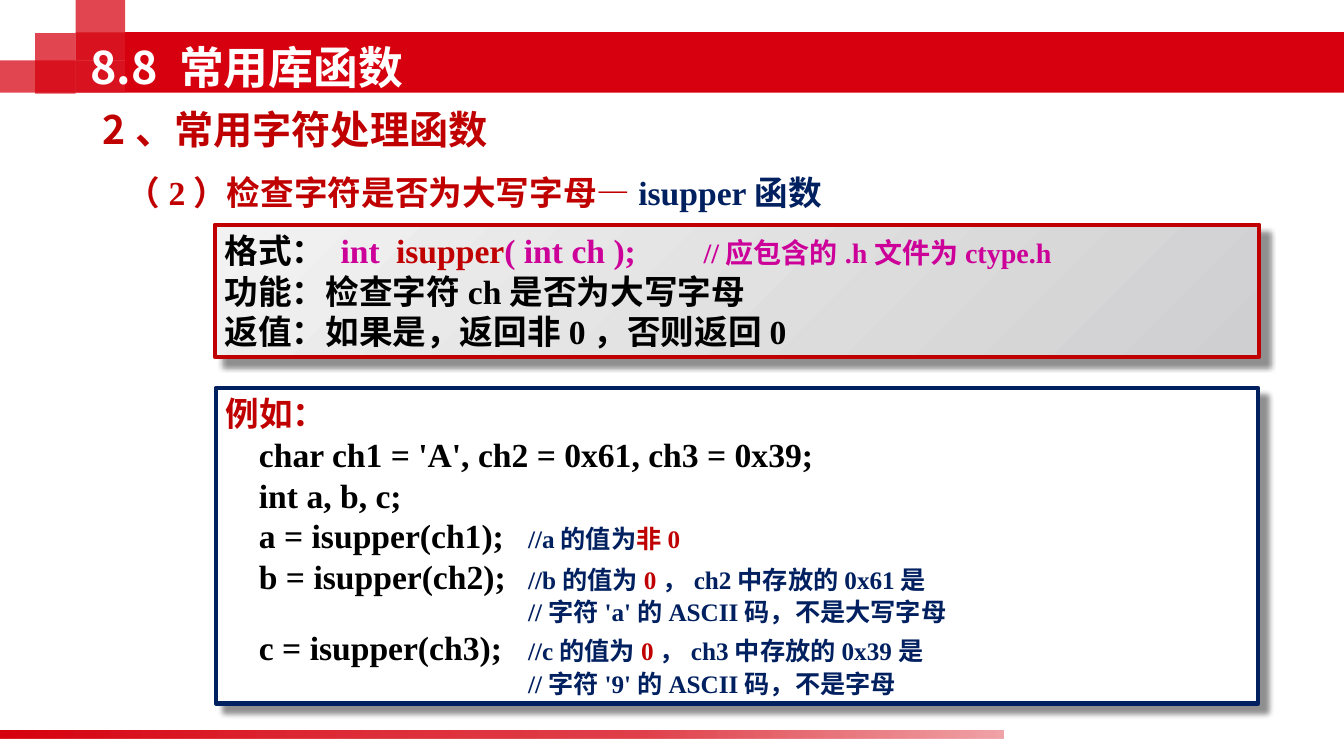
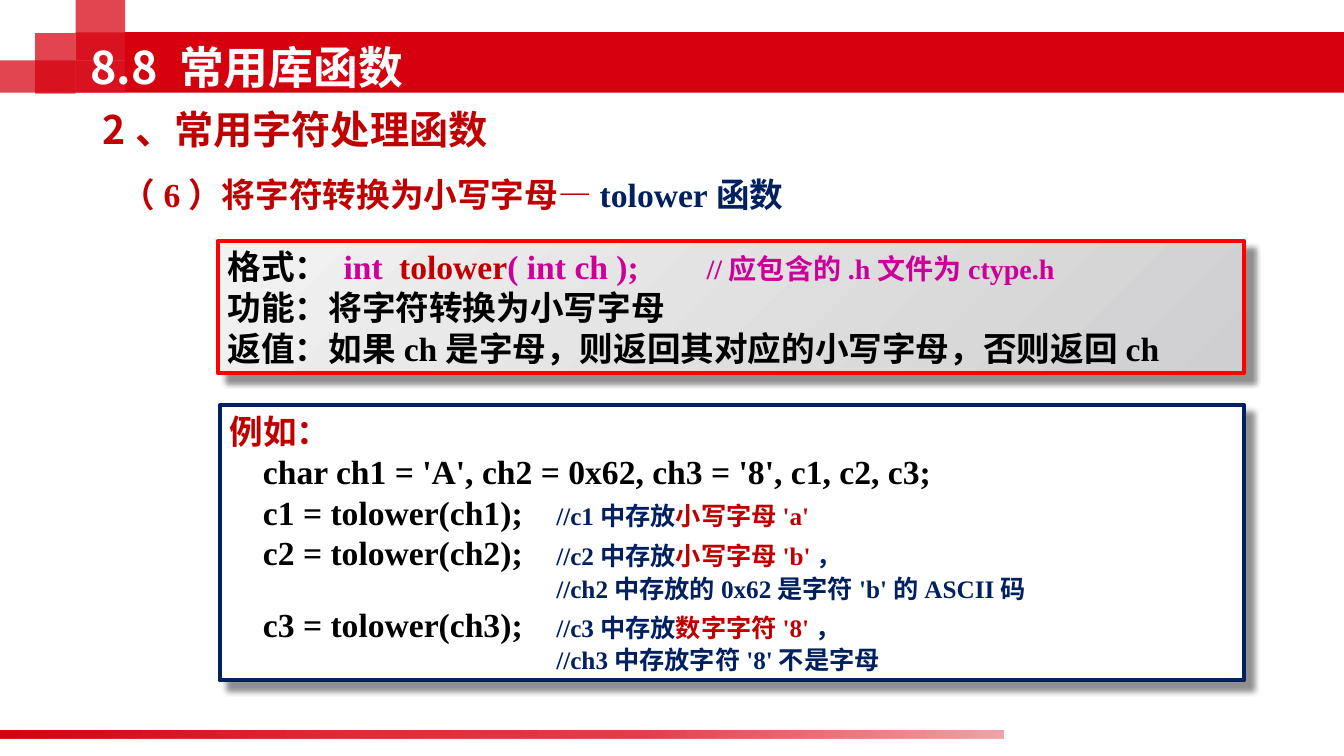
from dataclasses import dataclass

from lxml import etree
from pptx import Presentation
from pptx.dml.color import RGBColor
from pptx.enum.shapes import MSO_SHAPE
from pptx.enum.text import MSO_ANCHOR, PP_ALIGN
from pptx.oxml.ns import qn
from pptx.util import Inches, Pt

RECTANGLE = MSO_SHAPE.RECTANGLE
TOP, MIDDLE = MSO_ANCHOR.TOP, MSO_ANCHOR.MIDDLE
LEFT = PP_ALIGN.LEFT


@dataclass(frozen=True)
class Theme:
    band: str = "D7000F"
    red: str = "C00000"
    bright_red: str = "FF0000"
    navy: str = "002060"
    magenta: str = "CC0099"
    black: str = "000000"
    white: str = "FFFFFF"
    panel_dark: str = "CFCFD1"
    panel_light: str = "F2F2F2"
    sans: str = "Noto Sans CJK SC"
    serif: str = "Times New Roman"
    title: int = 32
    subtitle: int = 28
    body: int = 24
    include: int = 20
    comment: int = 18
    body_line: int = 29
    comment_line: int = 22
    border: int = 3


THEME = Theme()

# Each run of text names one of these styles: size and colour.
STYLES = {
    "title": (THEME.title, THEME.white),
    "subtitle": (THEME.subtitle, THEME.red),
    "code": (THEME.body, THEME.black),
    "key": (THEME.body, THEME.red),
    "function": (THEME.body, THEME.navy),
    "syntax": (THEME.body, THEME.magenta),
    "include": (THEME.include, THEME.magenta),
    "comment": (THEME.comment, THEME.navy),
    "result": (THEME.comment, THEME.red),
}


def add_child(parent, tag, **attributes):
    child = etree.SubElement(parent, qn(tag))
    for name, value in attributes.items():
        child.set(name, str(value))
    return child


def add_box(slide, box, color, opacity=100):
    shape = slide.shapes.add_shape(RECTANGLE, *map(Inches, box))
    shape.shadow.inherit = False
    shape.line.fill.background()
    shape.fill.solid()
    shape.fill.fore_color.rgb = RGBColor.from_string(color)
    if opacity < 100:
        color_element = shape.fill._xPr.find(".//" + qn("a:srgbClr"))
        add_child(color_element, "a:alpha", val=opacity * 1000)
    return shape


def set_gradient(shape, stops, angle):
    """Replace the solid fill by stops of (position, colour, opacity), in percent."""
    properties = shape._element.spPr
    solid = properties.find(qn("a:solidFill"))
    gradient = etree.Element(qn("a:gradFill"), rotWithShape="1")
    stop_list = add_child(gradient, "a:gsLst")
    for position, color, opacity in stops:
        stop = add_child(stop_list, "a:gs", pos=position * 1000)
        color_element = add_child(stop, "a:srgbClr", val=color)
        if opacity < 100:
            add_child(color_element, "a:alpha", val=opacity * 1000)
    add_child(gradient, "a:lin", ang=angle * 60000, scaled=0)
    properties.replace(solid, gradient)


def add_shadow(shape):
    effects = shape._element.spPr.find(qn("a:effectLst"))
    shadow = add_child(effects, "a:outerShdw", blurRad=Pt(4), dist=Pt(8.4),
                       dir=45 * 60000, algn="tl", rotWithShape=0)
    color_element = add_child(shadow, "a:srgbClr", val=THEME.black)
    add_child(color_element, "a:alpha", val=43000)


def write_text(shape, lines, font=THEME.serif, anchor=TOP, tabs=(), fixed=True):
    """Write lines, each a list of (text, style) runs."""
    frame = shape.text_frame
    frame.word_wrap = True
    frame.vertical_anchor = anchor
    for index, runs in enumerate(lines):
        paragraph = frame.paragraphs[0] if index == 0 else frame.add_paragraph()
        paragraph.alignment = LEFT
        if tabs:
            tab_list = add_child(paragraph._p.get_or_add_pPr(), "a:tabLst")
            for position in tabs:
                add_child(tab_list, "a:tab", pos=Inches(position), algn="l")
        if fixed:
            small = all(style in ("comment", "result") for _, style in runs)
            height = THEME.comment_line if small else THEME.body_line
            paragraph.line_spacing = Pt(height)
        for text, style in runs:
            size, color = STYLES[style]
            run = paragraph.add_run()
            run.text = text
            run.font.size = Pt(size)
            run.font.bold = True
            run.font.name = font
            run.font.color.rgb = RGBColor.from_string(color)
            add_child(run._r.get_or_add_rPr(), "a:ea", typeface=THEME.sans)


def add_label(slide, box, runs, **text_format):
    label = slide.shapes.add_textbox(*map(Inches, box))
    write_text(label, [runs], **text_format)


def add_panel(slide, box, border):
    panel = add_box(slide, box, THEME.white)
    panel.line.color.rgb = RGBColor.from_string(border)
    panel.line.width = Pt(THEME.border)
    add_shadow(panel)
    return panel


def add_frame(slide):
    """Title band with its corner squares, and the fading line at the foot."""
    add_box(slide, (1.24, 0.32, 12.09, 0.6), THEME.band)
    for box in ((0, 0.6, 1.24, 0.32), (0.35, 0.33, 0.4, 0.6),
                (0.75, 0, 0.49, 0.6), (0.75, 0.32, 0.49, 0.28)):
        add_box(slide, box, THEME.band, opacity=73)
    add_box(slide, (0.75, 0.6, 0.49, 0.32), THEME.band, opacity=73)
    foot = add_box(slide, (0, 7.25, 9.95, 0.08), THEME.band)
    opacities = ((0, 100), (31, 84), (64, 75), (100, 36))
    set_gradient(foot, [(position, THEME.band, opacity)
                        for position, opacity in opacities], 0)


def add_titles(slide):
    add_label(slide, (0.8, 0.33, 8.9, 0.67), [("8.8 常用库函数", "title")],
              font=THEME.sans, anchor=MIDDLE, fixed=False)
    add_label(slide, (0.92, 0.99, 4.41, 0.57), [("2、常用字符处理函数", "subtitle")],
              font=THEME.sans, anchor=MIDDLE, fixed=False)


def add_definition(slide, box, name, purpose, result, border):
    panel = add_panel(slide, box, border)
    set_gradient(panel, [(0, THEME.panel_dark, 100),
                         (100, THEME.panel_light, 100)], 225)
    lines = [
        [("格式：", "code"), ("\tint\t", "syntax"), (name, "key"),
         ("( int ch );\t", "syntax"), ("//应包含的.h文件为ctype.h", "include")],
        [("功能：" + purpose, "code")],
        [("返值：" + result, "code")],
    ]
    write_text(panel, lines, anchor=MIDDLE, tabs=(1.15, 1.7, 4.75))


def add_example(slide, box, code_lines, comment_tab):
    """Each code line is (code, comment runs); no code continues a comment."""
    panel = add_panel(slide, box, THEME.navy)
    lines = [[("例如：", "key")]]
    for code, *comment in code_lines:
        if not code:
            lines.append([("\t\t", "comment"), *comment])
        elif comment:
            lines.append([(f"\t{code}\t", "code"), *comment])
        else:
            lines.append([(f"\t{code}", "code")])
    write_text(panel, lines, tabs=(0.33, comment_tab))


def add_function_slide(presentation, heading, heading_box, name, definition,
                       example):
    slide = presentation.slides.add_slide(presentation.slide_layouts[6])
    add_frame(slide)
    add_label(slide, heading_box, [(heading + "—", "key"), (name + "函数", "function")])
    add_definition(slide, name=name, **definition)
    add_example(slide, **example)
    add_titles(slide)


def main():
    presentation = Presentation()
    presentation.slide_width = Inches(13.33)
    presentation.slide_height = Inches(7.5)

    add_function_slide(
        presentation, "（2）检查字符是否为大写字母", (1.16, 1.65, 7.64, 0.5), "isupper",
        definition=dict(
            box=(2.13, 2.23, 10.36, 1.31), border=THEME.red,
            purpose="检查字符ch是否为大写字母",
            result="如果是，返回非0，否则返回0"),
        example=dict(
            box=(2.14, 3.85, 10.34, 3.13), comment_tab=3.0,
            code_lines=[
                ("char ch1 = 'A', ch2 = 0x61, ch3 = 0x39;",),
                ("int a, b, c;",),
                ("a = isupper(ch1);", ("//a的值为", "comment"), ("非0", "result")),
                ("b = isupper(ch2);", ("//b的值为", "comment"), ("0", "result"),
                 ("，ch2中存放的0x61是", "comment")),
                ("", ("//字符'a'的ASCII码，不是大写字母", "comment")),
                ("c = isupper(ch3);", ("//c的值为", "comment"), ("0", "result"),
                 ("，ch3中存放的0x39是", "comment")),
                ("", ("//字符'9'的ASCII码，不是字母", "comment")),
            ]))

    add_function_slide(
        presentation, "（6）将字符转换为小写字母", (1.11, 1.67, 8.65, 0.5), "tolower",
        definition=dict(
            box=(2.16, 2.39, 10.18, 1.31), border=THEME.bright_red,
            purpose="将字符转换为小写字母",
            result="如果ch是字母，则返回其对应的小写字母，否则返回ch"),
        example=dict(
            box=(2.18, 4.02, 10.16, 2.73), comment_tab=3.24,
            code_lines=[
                ("char ch1 = 'A', ch2 = 0x62, ch3 = '8', c1, c2, c3;",),
                ("c1 = tolower(ch1);", ("//c1中存放", "comment"),
                 ("小写字母'a'", "result")),
                ("c2 = tolower(ch2);", ("//c2中存放", "comment"),
                 ("小写字母'b'", "result"), ("，", "comment")),
                ("", ("//ch2中存放的0x62是字符'b'的ASCII码", "comment")),
                ("c3 = tolower(ch3);", ("//c3中存放", "comment"),
                 ("数字字符'8'", "result"), ("，", "comment")),
                ("", ("//ch3中存放字符'8'不是字母", "comment")),
            ]))

    presentation.save("out.pptx")


if __name__ == "__main__":
    main()
